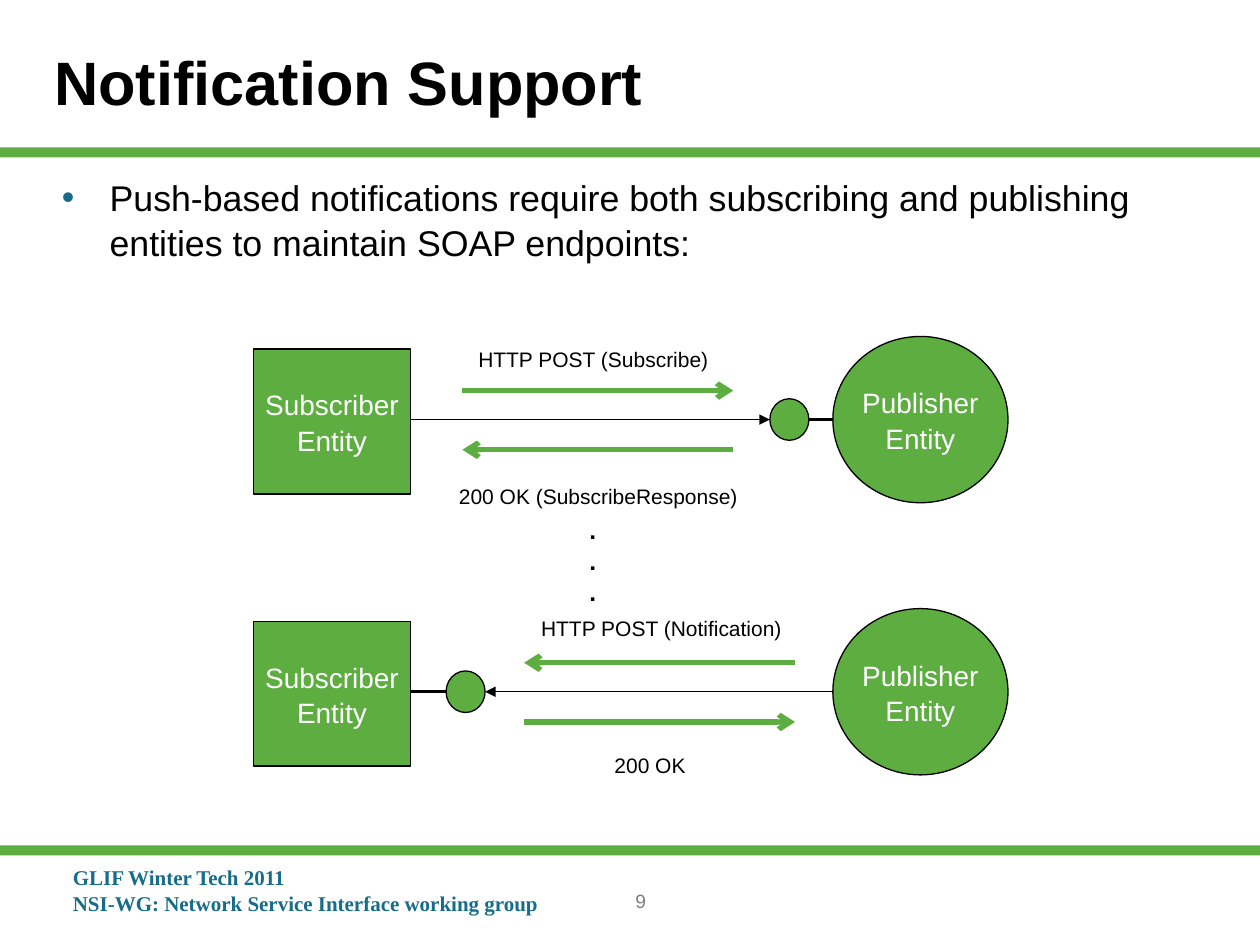
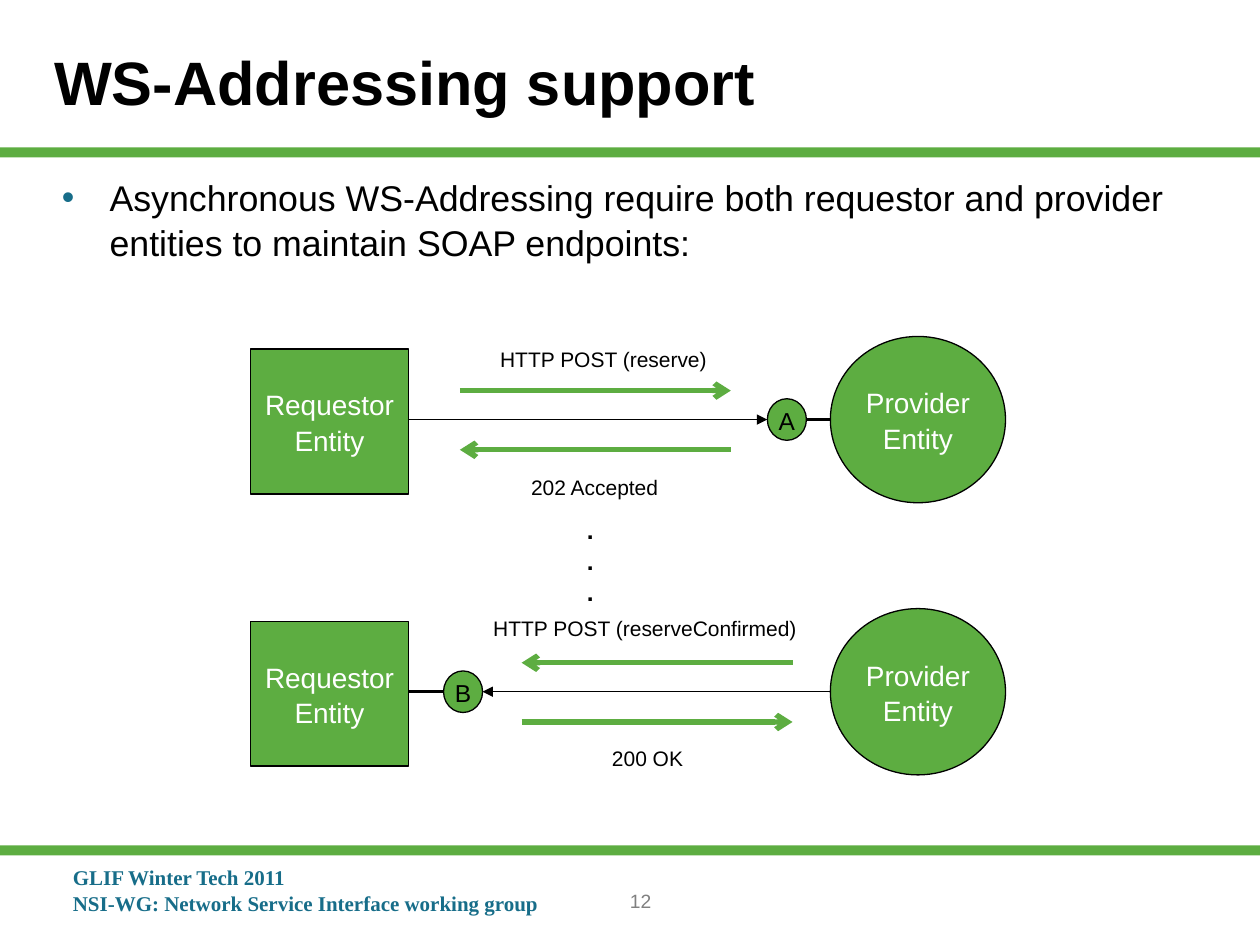
from lxml import etree
from pptx import Presentation
from pptx.dml.color import RGBColor
from pptx.enum.shapes import MSO_CONNECTOR, MSO_SHAPE
from pptx.enum.text import MSO_ANCHOR, MSO_AUTO_SIZE, PP_ALIGN
from pptx.oxml.ns import qn
from pptx.util import Inches, Pt

RECTANGLE, ELLIPSE = MSO_SHAPE.RECTANGLE, MSO_SHAPE.OVAL
STRAIGHT = MSO_CONNECTOR.STRAIGHT
LEFT, CENTER = PP_ALIGN.LEFT, PP_ALIGN.CENTER
TOP, MIDDLE = MSO_ANCHOR.TOP, MSO_ANCHOR.MIDDLE
NO_AUTOFIT = MSO_AUTO_SIZE.NONE

COLORS = {"green": "5DAD41", "teal": "176D89", "black": "000000",
          "white": "FFFFFF", "gray": "808080"}
SANS, SERIF = "Arial", "Times New Roman"
LINE_SPACING = 1.05
FOOTER = ["GLIF Winter Tech 2011",
          "NSI-WG: Network Service Interface working group"]

# Each label is (text, centre from the diagram's left, top from the exchange's top).
SLIDES = [
    {"title": "Notification Support", "number": "9", "left": 2.01,
     "point": "Push-based notifications require both subscribing and "
              "publishing entities to maintain SOAP endpoints:",
     "parties": ("Subscriber", "Publisher"), "ports": ("", ""),
     "call": [("HTTP POST (Subscribe)", 2.7, 0.02),
              ("200 OK (SubscribeResponse)", 2.74, 1.11)],
     "callback": [("HTTP POST (Notification)", 3.24, 0),
                  ("200 OK", 3.15, 1.08)]},
    {"title": "WS-Addressing support", "number": "12", "left": 1.99,
     "point": "Asynchronous WS-Addressing require both requestor and "
              "provider entities to maintain SOAP endpoints:",
     "parties": ("Requestor", "Provider"), "ports": ("A", "B"),
     "call": [("HTTP POST (reserve)", 2.8, 0.02),
              ("202 Accepted", 2.73, 1.04)],
     "callback": [("HTTP POST (reserveConfirmed)", 3.13, 0),
                  ("200 OK", 3.15, 1.03)]},
]


def rgb(color):
    return RGBColor.from_string(COLORS[color])


def place(shape, left, top, width, height):
    shape.left, shape.top = Inches(left), Inches(top)
    shape.width, shape.height = Inches(width), Inches(height)


def write(frame, lines, size, color="black", font=SANS, bold=False,
          align=LEFT, anchor=TOP, wrap=True):
    frame.auto_size = NO_AUTOFIT
    frame.word_wrap = wrap
    frame.vertical_anchor = anchor
    for index, line in enumerate(lines):
        paragraph = frame.add_paragraph() if index else frame.paragraphs[0]
        paragraph.alignment = align
        paragraph.line_spacing = LINE_SPACING
        paragraph.space_before = Pt(0)
        run = paragraph.add_run()
        run.text = line
        run.font.name, run.font.size, run.font.bold = font, Pt(size), bold
        run.font.color.rgb = rgb(color)


def add_text(slide, box, lines, size, **style):
    textbox = slide.shapes.add_textbox(*map(Inches, box))
    write(textbox.text_frame, lines, size, **style)


def add_solid(slide, kind, box, outlined=True):
    solid = slide.shapes.add_shape(kind, *map(Inches, box))
    solid.shadow.inherit = False
    solid.fill.solid()
    solid.fill.fore_color.rgb = rgb("green")
    if outlined:
        solid.line.color.rgb = rgb("black")
        solid.line.width = Pt(0.75)
    else:
        solid.line.fill.background()
    return solid


def add_node(slide, kind, box, lines, size, color):
    frame = add_solid(slide, kind, box).text_frame
    frame.margin_left = frame.margin_right = 0
    frame.margin_top = frame.margin_bottom = 0
    write(frame, lines, size, color=color, align=CENTER, anchor=MIDDLE, wrap=False)


def add_line(slide, start, end, y, color="black", weight=0.75, head=None):
    """Draw a level line from start to end, with an optional arrowhead at the end."""
    connector = slide.shapes.add_connector(
        STRAIGHT, Inches(start), Inches(y), Inches(end), Inches(y))
    connector.line.color.rgb = rgb(color)
    connector.line.width = Pt(weight)
    if head:
        outline = connector.line._get_or_add_ln()
        etree.SubElement(outline, qn("a:tailEnd"), type=head)
    etree.SubElement(connector._element.spPr, qn("a:effectLst"))


def add_frame(slide, number):
    for band_top in (1.17, 6.71):
        add_solid(slide, RECTANGLE, (0, band_top, 10, 0.08), outlined=False)
    add_text(slide, (0.48, 6.8, 6.01, 0.5), FOOTER, 12,
             color="teal", font=SERIF, bold=True)
    add_text(slide, (2.17, 7, 5.83, 0.5), [number], 11, color="gray", align=CENTER)


def add_heading(slide, title, point):
    heading, body = slide.placeholders
    place(heading, 0.33, 0, 8.5, 1.25)
    write(heading.text_frame, [title], 35, bold=True, anchor=MIDDLE)

    place(body, 0.39, 1.33, 9.42, 0.83)
    properties = body.text_frame.paragraphs[0]._p.get_or_add_pPr()
    properties.set("marL", str(Inches(0.38)))
    properties.set("indent", str(Inches(-0.38)))
    bullet_color = etree.SubElement(properties, qn("a:buClr"))
    etree.SubElement(bullet_color, qn("a:srgbClr"), val=COLORS["teal"])
    etree.SubElement(properties, qn("a:buChar"), char="•")
    write(body.text_frame, [point], 20.4)


def add_exchange(slide, left, top, parties, port, labels, is_callback):
    """Draw one request and reply; a callback runs from right to left."""
    client, server = parties
    client_right, server_left = left + 1.25, left + 4.6
    axis = top + 0.66
    port_width, port_height = 0.31, 0.33
    port_left = left + (1.53 if is_callback else 4.1)
    port_right = port_left + port_width

    if is_callback:
        add_line(slide, server_left, port_right, axis, head="triangle")
        add_line(slide, port_left, client_right, axis, weight=2)
    else:
        add_line(slide, client_right, port_left, axis, head="triangle")
        add_line(slide, port_right, server_left, axis, weight=2)

    add_node(slide, RECTANGLE, (left, top + 0.1, 1.25, 1.15),
             [client, "Entity"], 16, "white")
    add_node(slide, ELLIPSE, (server_left, top, 1.39, 1.32),
             [server, "Entity"], 16, "white")
    add_node(slide, ELLIPSE,
             (port_left, axis - port_height / 2, port_width, port_height),
             [port] if port else [], 14, "black")

    near = left + (2.15 if is_callback else 1.66)
    far = near + 2.15
    request = (far, near) if is_callback else (near, far)
    for (start, end), y in ((request, 0.43), (request[::-1], 0.9)):
        add_line(slide, start, end, top + y, "green", 3, "arrow")

    label_width = 2.8
    for text, center, label_top in labels:
        box = (left + center - label_width / 2, top + label_top, label_width, 0.3)
        add_text(slide, box, [text], 12, align=CENTER)


def add_diagram(slide, content, top=2.67, pitch=2.16):
    left = content["left"]
    for row, step in enumerate(("call", "callback")):
        add_exchange(slide, left, top + row * pitch, content["parties"],
                     content["ports"][row], content[step], step == "callback")
    add_text(slide, (left + 2.57, top + 1.36, 0.25, 0.8), ["."] * 3, 14,
             bold=True, align=CENTER, wrap=False)


def main():
    deck = Presentation()
    deck.slide_width, deck.slide_height = Inches(10), Inches(7.5)
    for content in SLIDES:
        slide = deck.slides.add_slide(deck.slide_layouts[1])
        add_frame(slide, content["number"])
        add_heading(slide, content["title"], content["point"])
        add_diagram(slide, content)
    deck.save("out.pptx")


if __name__ == "__main__":
    main()
